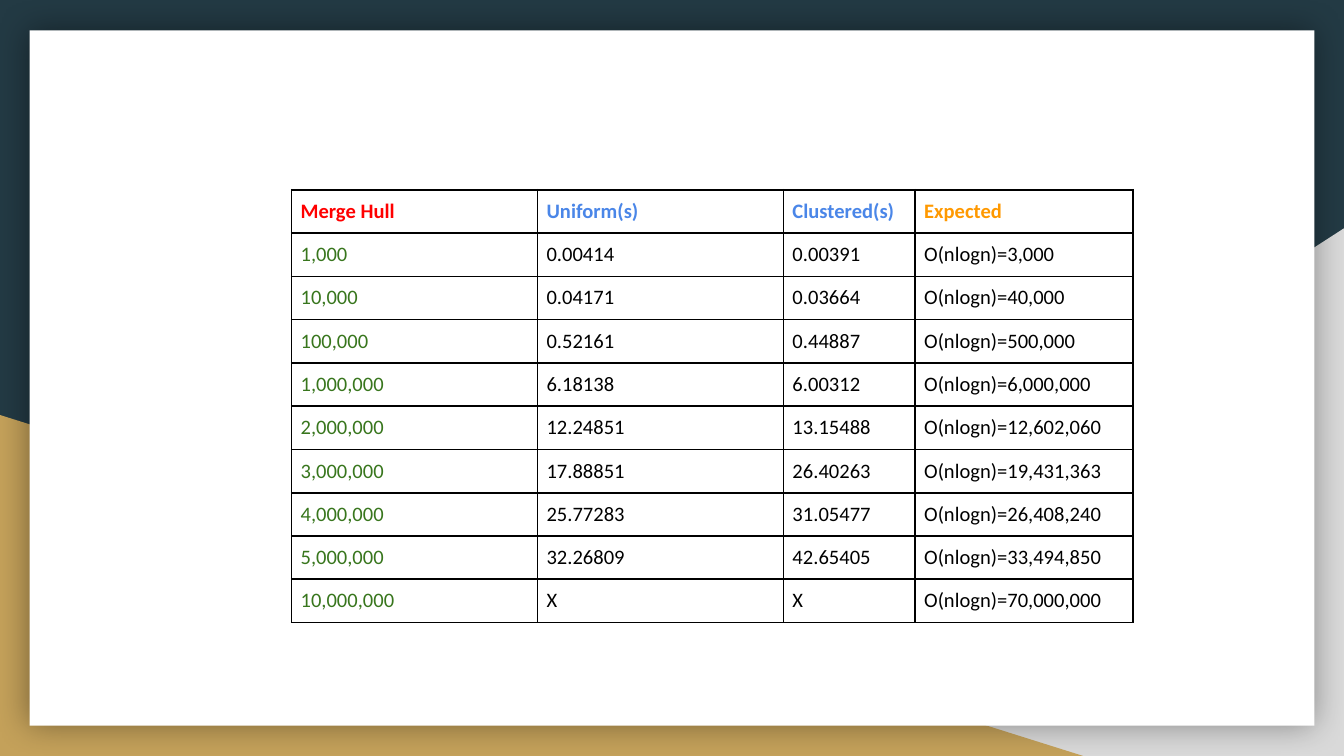
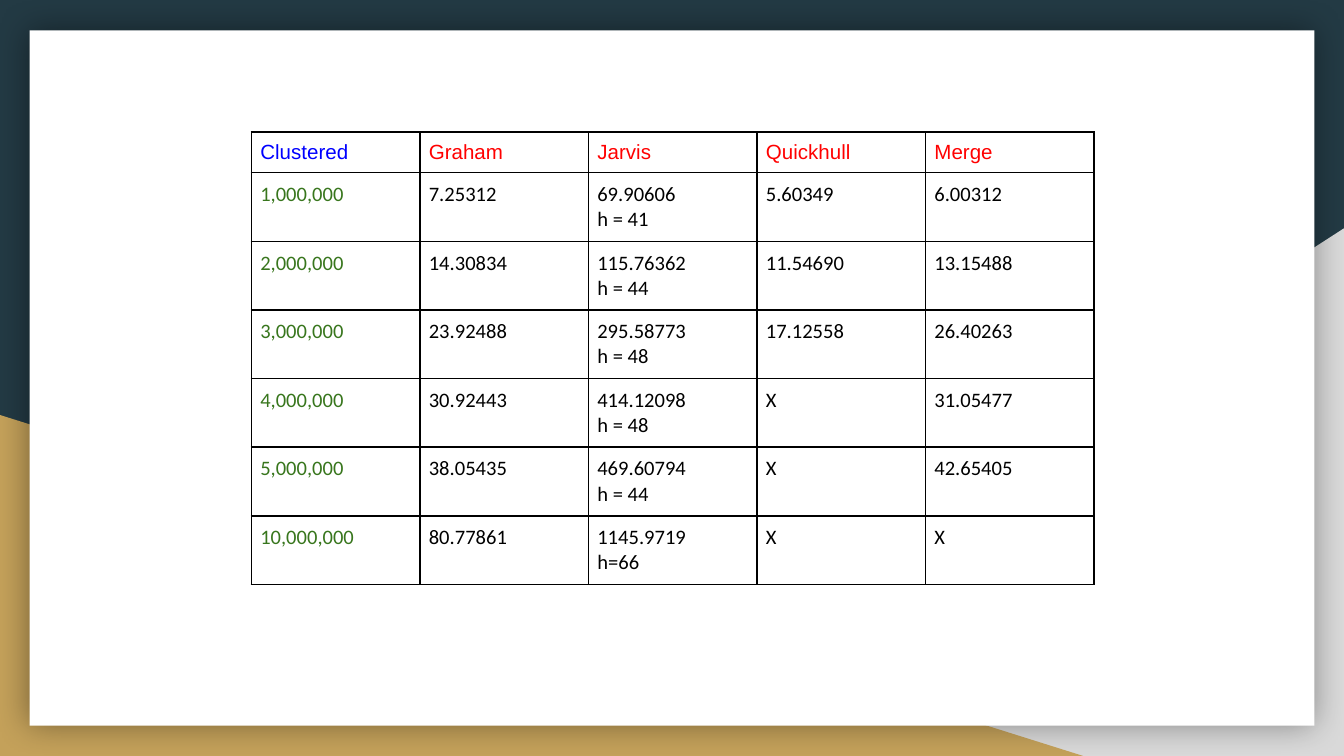
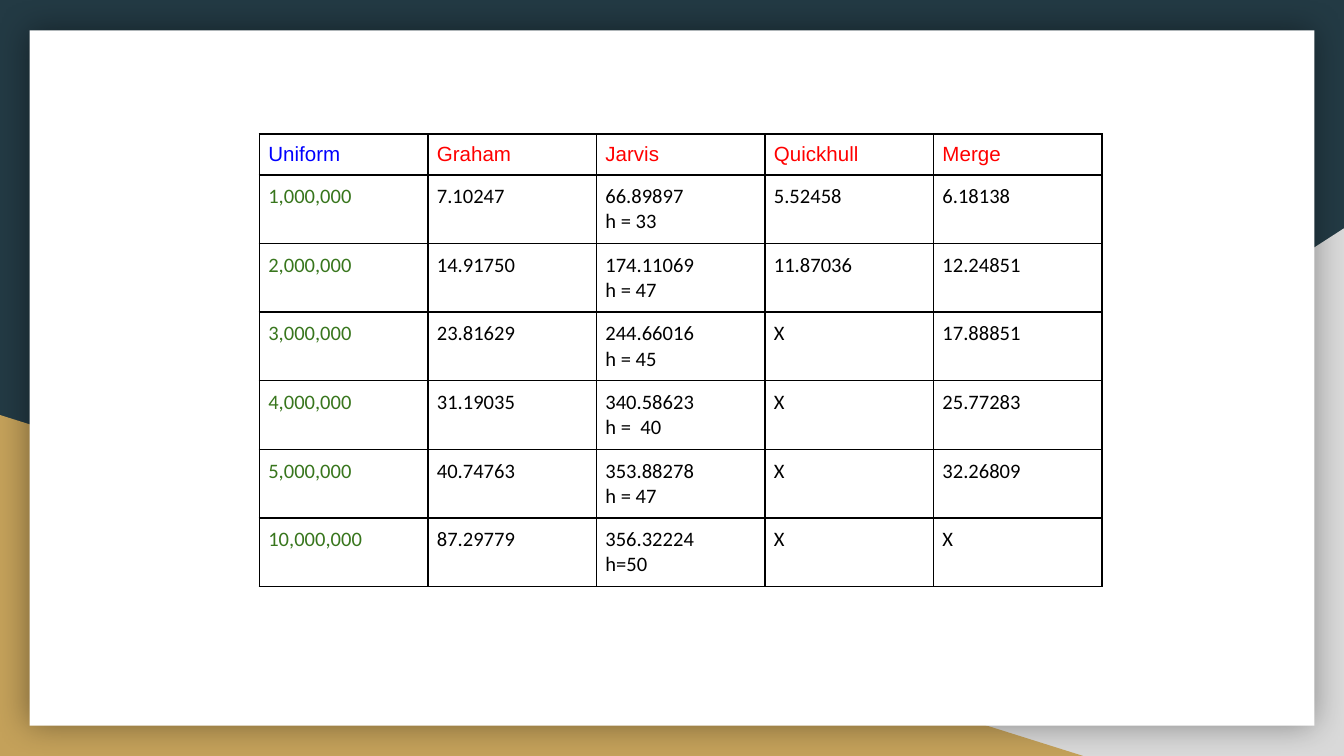
from lxml.etree import SubElement
from pptx import Presentation
from pptx.dml.color import RGBColor as Color
from pptx.enum.shapes import MSO_SHAPE as Shape
from pptx.oxml.ns import qn
from pptx.util import Inches, Pt

COLORS = {
    "navy": "233A44", "gray": "D9D9D9", "gold": "C4A15A", "white": "FFFFFF",
    "black": "000000", "red": "FF0000", "blue": "0000FF", "sky": "4A86E8",
    "orange": "FF9900", "green": "38761D",
}

deck = Presentation()
deck.slide_width, deck.slide_height = Inches(10), Inches(5.625)


def across(percent):
    return round(deck.slide_width * percent / 100)


def down(percent):
    return round(deck.slide_height * percent / 100)


# Shared backdrop: shape, fill, then left, top, width, height in percent
BACKDROP = [
    (Shape.RIGHT_TRIANGLE, "gray", 39.2, 30.2, 60.8, 69.8),
    (Shape.RIGHT_TRIANGLE, "gold", 0, 54.9, 80.6, 45.1),
    (Shape.RECTANGLE, "white", 2.2, 4, 95.6, 92),
]

# Text formats
BODY = {"name": "Calibri", "size": Pt(11), "bold": False}
BOLD_HEAD = BODY | {"bold": True}
PLAIN_HEAD = BODY | {"name": "Arial"}
CELL_FORMAT = dict.fromkeys(
    ("margin_left", "margin_right", "margin_top", "margin_bottom"), Pt(4.8))

# Timing tables, one per slide; rows grow to fit their text
ALGORITHM_COLORS = ["blue", "red", "red", "red", "red"]
EQUAL_COLUMNS = [12.54] * 5
TABLES = [
    {
        "left": 21.7, "top": 25.1, "columns": [18.3, 18.3, 9.8, 16.2],
        "head": BOLD_HEAD, "head_colors": ["red", "sky", "sky", "orange"],
        "rows": [
            ["Merge Hull", "Uniform(s)", "Clustered(s)", "Expected"],
            ["1,000", "0.00414", "0.00391", "O(nlogn)=3,000"],
            ["10,000", "0.04171", "0.03664", "O(nlogn)=40,000"],
            ["100,000", "0.52161", "0.44887", "O(nlogn)=500,000"],
            ["1,000,000", "6.18138", "6.00312", "O(nlogn)=6,000,000"],
            ["2,000,000", "12.24851", "13.15488", "O(nlogn)=12,602,060"],
            ["3,000,000", "17.88851", "26.40263", "O(nlogn)=19,431,363"],
            ["4,000,000", "25.77283", "31.05477", "O(nlogn)=26,408,240"],
            ["5,000,000", "32.26809", "42.65405", "O(nlogn)=33,494,850"],
            ["10,000,000", "X", "X", "O(nlogn)=70,000,000"],
        ],
    },
    {
        "left": 18.7, "top": 17.45, "columns": EQUAL_COLUMNS,
        "head": PLAIN_HEAD, "head_colors": ALGORITHM_COLORS,
        "rows": [
            ["Clustered", "Graham", "Jarvis", "Quickhull", "Merge"],
            ["1,000,000", "7.25312", "69.90606\nh = 41", "5.60349", "6.00312"],
            ["2,000,000", "14.30834", "115.76362\nh = 44", "11.54690", "13.15488"],
            ["3,000,000", "23.92488", "295.58773\nh = 48", "17.12558", "26.40263"],
            ["4,000,000", "30.92443", "414.12098\nh = 48", "X", "31.05477"],
            ["5,000,000", "38.05435", "469.60794\nh = 44", "X", "42.65405"],
            ["10,000,000", "80.77861", "1145.9719\nh=66", "X", "X"],
        ],
    },
    {
        "left": 19.3, "top": 17.73, "columns": EQUAL_COLUMNS,
        "head": PLAIN_HEAD, "head_colors": ALGORITHM_COLORS,
        "rows": [
            ["Uniform", "Graham", "Jarvis", "Quickhull", "Merge"],
            ["1,000,000", "7.10247", "66.89897\nh = 33", "5.52458", "6.18138"],
            ["2,000,000", "14.91750", "174.11069\nh = 47", "11.87036", "12.24851"],
            ["3,000,000", "23.81629", "244.66016\nh = 45", "X", "17.88851"],
            ["4,000,000", "31.19035", "340.58623\nh =  40", "X", "25.77283"],
            ["5,000,000", "40.74763", "353.88278\nh = 47", "X", "32.26809"],
            ["10,000,000", "87.29779", "356.32224\nh=50", "X", "X"],
        ],
    },
]

for data in TABLES:
    page = deck.slides.add_slide(deck.slide_layouts[6])
    page.background.fill.solid()
    page.background.fill.fore_color.rgb = Color.from_string(COLORS["navy"])

    # Backdrop
    for kind, fill, left, top, width, height in BACKDROP:
        box = page.shapes.add_shape(
            kind, across(left), down(top), across(width), down(height))
        box.shadow.inherit = False
        box.fill.solid()
        box.fill.fore_color.rgb = Color.from_string(COLORS[fill])
        box.line.fill.background()
        if fill == "gray":
            box._element.spPr.find(qn("a:xfrm")).set("flipH", "1")

    # Soft shadow around the white panel, the last backdrop shape
    effects = box._element.spPr.find(qn("a:effectLst"))
    shadow = SubElement(effects, qn("a:outerShdw"), blurRad=str(Pt(18)), dist="0",
                        dir="0", algn="ctr", rotWithShape="0")
    tint = SubElement(shadow, qn("a:srgbClr"), val=COLORS["black"])
    SubElement(tint, qn("a:alpha"), val="40000")

    # Table
    rows, columns = data["rows"], data["columns"]
    table = page.shapes.add_table(
        len(rows), len(columns), across(data["left"]), down(data["top"]),
        across(sum(columns)), down(0.2) * len(rows)).table
    table.first_row = table.horz_banding = False
    for column, width in zip(table.columns, columns):
        column.width = across(width)

    for r, texts in enumerate(rows):
        for c, text in enumerate(texts):
            cell = table.cell(r, c)
            cell.text = text
            for name, value in CELL_FORMAT.items():
                setattr(cell, name, value)

            # Borders come before the fill
            for side in ("lnL", "lnR", "lnT", "lnB"):
                border = SubElement(cell._tc.get_or_add_tcPr(), qn(f"a:{side}"),
                                    w=str(Pt(1)))
                paint = SubElement(border, qn("a:solidFill"))
                SubElement(paint, qn("a:srgbClr"), val=COLORS["black"])
            cell.fill.background()

            if r == 0:
                style, color = data["head"], data["head_colors"][c]
            else:
                style, color = BODY, "black" if c else "green"
            for para in cell.text_frame.paragraphs:
                for span in para.runs:
                    for name, value in style.items():
                        setattr(span.font, name, value)
                    span.font.color.rgb = Color.from_string(COLORS[color])

deck.save("out.pptx")
